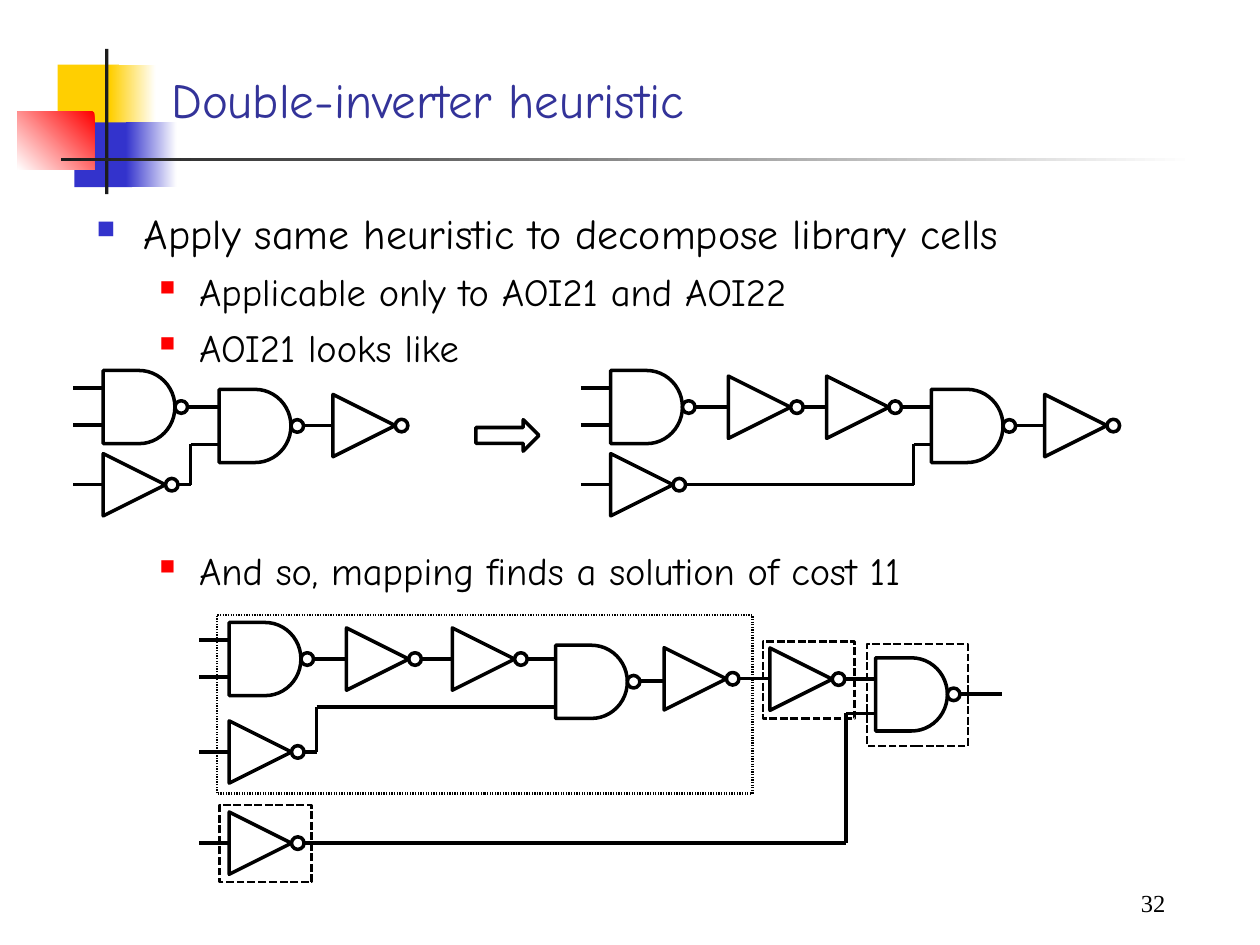
from dataclasses import dataclass
from itertools import pairwise

from lxml import etree
from pptx import Presentation
from pptx.dml.color import RGBColor
from pptx.enum.dml import MSO_LINE
from pptx.enum.shapes import MSO_CONNECTOR, MSO_SHAPE
from pptx.enum.text import MSO_ANCHOR, PP_ALIGN
from pptx.oxml.ns import qn
from pptx.util import Pt

RECT = MSO_SHAPE.RECTANGLE
DELAY = MSO_SHAPE.FLOWCHART_DELAY
MERGE = MSO_SHAPE.FLOWCHART_MERGE
CIRCLE = MSO_SHAPE.FLOWCHART_CONNECTOR
ARROW = MSO_SHAPE.RIGHT_ARROW
STRAIGHT = MSO_CONNECTOR.STRAIGHT
DOTTED = MSO_LINE.SQUARE_DOT
LEFT, RIGHT = PP_ALIGN.LEFT, PP_ALIGN.RIGHT


@dataclass(frozen=True)
class Theme:
    font: str = "Comic Neue"
    number_font: str = "Times New Roman"
    title: str = "333399"
    ink: str = "000000"
    paper: str = "FFFFFF"
    bar: str = "1C1C1C"
    yellow: str = "FFCF01"
    blue: str = "3333CC"
    red: str = "FF0000"
    title_size: int = 28
    point_size: int = 24
    subpoint_size: int = 22
    number_size: int = 14
    wire: float = 2
    frame: float = 1.5


THEME = Theme()
GATE_W, GATE_H = 41, 41.8
INVERTER = 35.6
BUBBLE = 7.2
INPUT_X = 17


def rgb(code):
    return RGBColor.from_string(code)


def add_shape(shapes, kind, box, fill=None, fade=None, line=None):
    """Fill runs from fill to white at the angle fade, if one is given."""
    shape = shapes.add_shape(kind, *map(Pt, box))
    shape.shadow.inherit = False
    if fill is None:
        shape.fill.background()
    elif fade is None:
        shape.fill.solid()
        shape.fill.fore_color.rgb = rgb(fill)
    else:
        shape.fill.gradient()
        shape.fill.gradient_angle = fade
        for stop, code in zip(shape.fill.gradient_stops, (fill, THEME.paper)):
            stop.color.rgb = rgb(code)
    if line is None:
        shape.line.fill.background()
    else:
        shape.line.color.rgb = rgb(THEME.ink)
        shape.line.width = Pt(line)
    return shape


def add_text(para, text, size, color=THEME.ink, font=THEME.font, align=LEFT, before=0):
    para.alignment = align
    para.space_before = Pt(before)
    span = para.add_run()
    span.text = text
    span.font.size = Pt(size)
    span.font.name = font
    span.font.color.rgb = rgb(color)


def set_bullet(para, color, percent, margin, hang):
    props = para._p.get_or_add_pPr()
    props.set("marL", str(Pt(margin)))
    props.set("indent", str(-Pt(hang)))
    holder = etree.SubElement(props, qn("a:buClr"))
    etree.SubElement(holder, qn("a:srgbClr"), val=color)
    etree.SubElement(props, qn("a:buSzPct"), val=str(percent * 1000))
    etree.SubElement(props, qn("a:buChar"), char="■")


def add_ornament(page, left, top):
    parts = [
        ((23, 9, 35, 37), THEME.yellow, None),
        ((53, 9, 26, 37), THEME.yellow, 0),
        ((32.5, 42, 33, 37), THEME.blue, None),
        ((62, 42, 29, 37), THEME.blue, 0),
        ((0, 36, 44, 33), THEME.red, 225),
        ((50, 0, 2, 83), THEME.bar, None),
        ((25, 62, 648, 2), THEME.bar, 0),
    ]
    for (x, y, width, height), color, fade in parts:
        add_shape(page.shapes, RECT, (left + x, top + y, width, height), color, fade)


def set_title(page, box, text):
    title = page.shapes.title
    title.left, title.top, title.width, title.height = map(Pt, box)
    title.text_frame.vertical_anchor = MSO_ANCHOR.BOTTOM
    add_text(title.text_frame.paragraphs[0], text, THEME.title_size, THEME.title)


def add_points(page, box):
    frame = page.shapes.add_textbox(*map(Pt, box)).text_frame
    frame.word_wrap = True
    para = frame.paragraphs[0]
    add_text(para, "Apply same heuristic to decompose library cells",
             THEME.point_size, before=6)
    set_bullet(para, THEME.blue, 60, 27, 27)
    subpoints = [
        ("Applicable only to AOI21 and AOI22", 5.5),
        ("AOI21 looks like", 5.5),
        ("And so, mapping finds a solution of cost 11", 101),
    ]
    for text, before in subpoints:
        para = frame.add_paragraph()
        add_text(para, text, THEME.subpoint_size, before=before)
        set_bullet(para, THEME.red, 55, 58.5, 22.5)


def add_page_number(page, box, text):
    frame = page.shapes.add_textbox(*map(Pt, box)).text_frame
    frame.word_wrap = True
    frame.vertical_anchor = MSO_ANCHOR.MIDDLE
    frame.margin_left = frame.margin_top = frame.margin_bottom = 0
    frame.margin_right = Pt(18)
    add_text(frame.paragraphs[0], text, THEME.number_size,
             font=THEME.number_font, align=RIGHT)


def add_wire(shapes, points):
    for start, end in pairwise(points):
        wire = shapes.add_connector(STRAIGHT, *map(Pt, start + end))
        wire.line.color.rgb = rgb(THEME.ink)
        wire.line.width = Pt(THEME.wire)
        etree.SubElement(wire._element.spPr, qn("a:effectLst"))


def add_gate(shapes, kind, x, y):
    """A NAND (DELAY) or an inverter (MERGE) with its output bubble."""
    width, height = (GATE_W, GATE_H) if kind == DELAY else (INVERTER, INVERTER)
    body = add_shape(shapes, kind, (x, y, width, height), THEME.paper, line=THEME.wire)
    if kind == MERGE:
        body.rotation = 270
    bubble = (x + width, y + (height - BUBBLE) / 2, BUBBLE, BUBBLE)
    add_shape(shapes, CIRCLE, bubble, THEME.paper, line=THEME.wire)


def add_circuit(page, left, top, nands, inverters, wires):
    """Draws one NAND and the inverters at INPUT_X with input wires, then the rest."""
    shapes = page.shapes.add_group_shape().shapes
    nands = [(INPUT_X, 0)] + nands
    inputs = [10, 31.3] + [y + INVERTER / 2 for x, y in inverters if x == INPUT_X]
    leads = [[(0, y), (INPUT_X + 1, y)] for y in inputs]
    for wire in leads + wires:
        add_wire(shapes, [(left + x, top + y) for x, y in wire])
    for kind, places in ((DELAY, nands), (MERGE, inverters)):
        for x, y in places:
            add_gate(shapes, kind, left + x, top + y)
    return shapes


def add_cover_frames(shapes, left, top):
    cell = add_shape(shapes, RECT, (left + 10, top - 4.3, 306, 102.2), line=THEME.frame)
    dashes = etree.SubElement(cell.line._get_or_add_ln(), qn("a:custDash"))
    etree.SubElement(dashes, qn("a:ds"), d="50000", sp="50000")
    for x, y, width, height in ((322, 10.8, 52.5, 44), (11.5, 104.4, 52.5, 44),
                                (381.5, 12.2, 57.6, 58.3)):
        box = (left + x, top + y, width, height)
        add_shape(shapes, RECT, box, line=THEME.frame).line.dash_style = DOTTED


def add_plain_cell(page, left, top):
    add_circuit(
        page, left, top, [(83.3, 10.8)], [(INPUT_X, 47.5), (148.3, 13.7)],
        [[(65, 20.9), (84, 20.9)], [(131, 31.5), (149, 31.5)],
         [(60, 65.3), (67, 65.3), (67, 42.2), (84, 42.2)]])


def add_expanded_cell(page, left, top):
    add_circuit(
        page, left, top, [(200.2, 10.8)],
        [(INPUT_X, 47.5), (84.2, 3.2), (140.4, 3.2), (265, 13.7)],
        [[(65, 20.9), (201, 20.9)], [(248, 31.5), (266, 31.5)],
         [(60, 65.3), (190, 65.3), (190, 42.2), (201, 42.2)]])


def add_mapped_network(page, left, top):
    shapes = add_circuit(
        page, left, top, [(203.5, 13), (386.4, 20.2)],
        [(INPUT_X, 56.2), (INPUT_X, 108.3), (84, 3.1), (144.5, 3.1),
         (265.5, 14.4), (326, 14.6)],
        [[(65, 20.9), (204, 20.9)], [(252, 33.3), (267, 33.3)],
         [(305, 32), (327, 32)], [(368, 32.4), (387, 32.4)],
         [(434, 40.8), (458.5, 40.8)],
         [(60, 74), (67, 74), (67, 48.2), (204, 48.2)],
         [(60, 126), (369.5, 126), (369.5, 52), (387, 52)]])
    add_cover_frames(shapes, left, top)


def main():
    deck = Presentation()
    deck.slide_width, deck.slide_height = Pt(720), Pt(540)
    page = deck.slides.add_slide(deck.slide_layouts[5])
    add_ornament(page, 10, 28)
    set_title(page, (90.7, 15.8, 613.5, 61.2), "Double-inverter heuristic")
    add_points(page, (48.2, 115.2, 612, 374.4))
    add_plain_cell(page, 42, 211.7)
    add_shape(page.shapes, ARROW, (272, 239.8, 36, 18), line=THEME.wire)
    add_expanded_cell(page, 332, 211.7)
    add_mapped_network(page, 114, 355.7)
    add_page_number(page, (534, 498, 150, 36), "32")
    deck.save("out.pptx")


if __name__ == "__main__":
    main()
